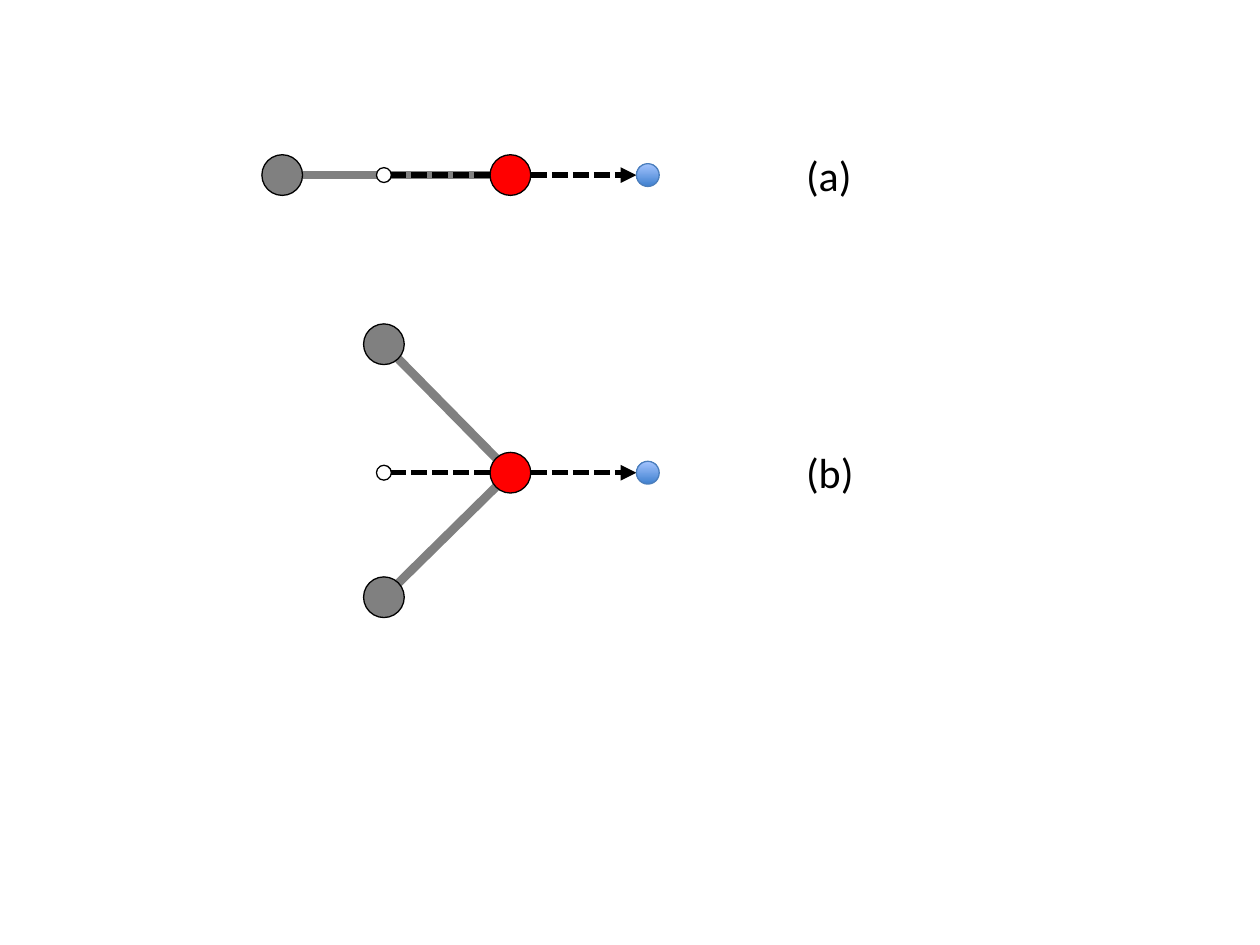
from math import hypot
from lxml.etree import SubElement
from pptx import Presentation
from pptx.dml.color import RGBColor
from pptx.enum.dml import MSO_LINE
from pptx.enum.shapes import MSO_CONNECTOR, MSO_SHAPE
from pptx.enum.text import MSO_AUTO_SIZE
from pptx.oxml.ns import qn
from pptx.util import Cm, Pt

COLORS = {
    "black": "000000", "grey": "808080", "red": "FF0000", "white": "FFFFFF",
    "blue_dark": "3F80CE", "blue_light": "A4C4FF", "blue_edge": "4B7EBC",
}
KINDS = {
    "neighbor": (0.82, ["grey"], "black"),
    "center": (0.82, ["red"], "black"),
    "midpoint": (0.3, ["white"], "black"),
    "target": (0.46, ["blue_dark", "blue_light"], "blue_edge"),
}
MIDPOINT_X, CENTER_X, TARGET_X, LABEL_X = 7.74, 10.29, 13.06, 16.0
DIAGRAMS = [
    {"label": "(a)", "width": 1.45, "axis": 3.53, "neighbors": [(5.69, 3.53)]},
    {"label": "(b)", "width": 1.47, "axis": 9.53,
     "neighbors": [(7.74, 6.94), (7.74, 12.04)]},
]


def rgb(name):
    return RGBColor.from_string(COLORS[name])


def add_circle(slide, kind, point):
    size, fills, edge = KINDS[kind]
    x, y = point
    shape = slide.shapes.add_shape(
        MSO_SHAPE.OVAL, Cm(x - size / 2), Cm(y - size / 2), Cm(size), Cm(size))
    shape.shadow.inherit = False
    if len(fills) == 1:
        shape.fill.solid()
        shape.fill.fore_color.rgb = rgb(fills[0])
    else:
        shape.fill.gradient()
        shape.fill.gradient_angle = 90
        for stop, name in zip(shape.fill.gradient_stops, fills):
            stop.color.rgb = rgb(name)
    shape.line.color.rgb = rgb(edge)
    shape.line.width = Pt(0.75)


def add_link(slide, start, end, color, width, dashed=False, arrow=False):
    (start_kind, (x1, y1)), (end_kind, (x2, y2)) = start, end
    length = hypot(x2 - x1, y2 - y1)
    first = KINDS[start_kind][0] / 2 / length
    last = 1 - KINDS[end_kind][0] / 2 / length
    ends = [Cm(a + (b - a) * share) for share in (first, last)
            for a, b in ((x1, x2), (y1, y2))]
    connector = slide.shapes.add_connector(MSO_CONNECTOR.STRAIGHT, *ends)
    connector.line.color.rgb = rgb(color)
    connector.line.width = Pt(width)
    if dashed:
        connector.line.dash_style = MSO_LINE.SQUARE_DOT
    properties = connector._element.spPr
    if arrow:
        SubElement(properties.find(qn("a:ln")), qn("a:tailEnd"), type="triangle")
    SubElement(properties, qn("a:effectLst"))


def add_label(slide, text, axis, width):
    box = slide.shapes.add_textbox(Cm(LABEL_X), Cm(axis - 0.65), Cm(width), Cm(1.28))
    frame = box.text_frame
    frame.word_wrap = False
    frame.auto_size = MSO_AUTO_SIZE.SHAPE_TO_FIT_TEXT
    frame.text = text
    font = frame.paragraphs[0].font
    font.name = "Calibri"
    font.size = Pt(24)
    font.color.rgb = rgb("black")


presentation = Presentation()
presentation.slide_width = Cm(25.4)
presentation.slide_height = Cm(19.05)
slide = presentation.slides.add_slide(presentation.slide_layouts[6])

for diagram in DIAGRAMS:
    axis = diagram["axis"]
    center = ("center", (CENTER_X, axis))
    midpoint = ("midpoint", (MIDPOINT_X, axis))
    target = ("target", (TARGET_X, axis))
    neighbors = [("neighbor", point) for point in diagram["neighbors"]]
    for neighbor in neighbors:
        add_link(slide, neighbor, center, "grey", 5)
    add_link(slide, center, midpoint, "black", 3, dashed=True)
    add_link(slide, center, target, "black", 3, dashed=True, arrow=True)
    for kind, point in [*neighbors, center, midpoint, target]:
        add_circle(slide, kind, point)
    add_label(slide, diagram["label"], axis, diagram["width"])

presentation.save("out.pptx")
